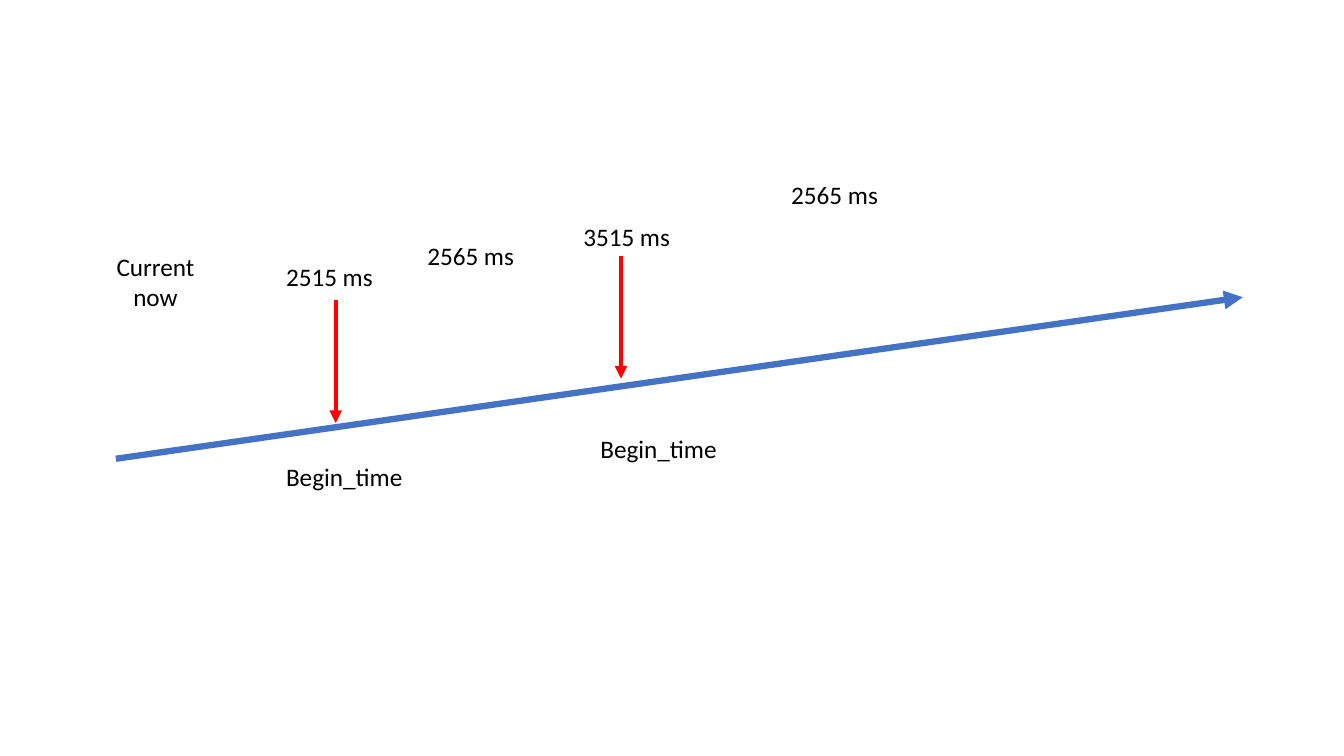
from dataclasses import dataclass

from lxml.etree import SubElement
from pptx import Presentation
from pptx.dml.color import RGBColor
from pptx.enum.shapes import MSO_CONNECTOR
from pptx.enum.text import MSO_AUTO_SIZE, PP_ALIGN
from pptx.oxml.ns import qn
from pptx.util import Cm, Pt


@dataclass(frozen=True)
class Theme:
    """Colours, type and line sizes of the slide."""
    font: str = "Calibri"
    text_size: Pt = Pt(18)
    text: RGBColor = RGBColor(0x00, 0x00, 0x00)
    axis: RGBColor = RGBColor(0x44, 0x72, 0xC4)
    axis_width: Pt = Pt(4.5)
    marker: RGBColor = RGBColor(0xFF, 0x00, 0x00)
    marker_width: Pt = Pt(3)


THEME = Theme()
TIME_WIDTH, NAME_WIDTH = Cm(3.02), Cm(4.11)
LINE_HEIGHT, TWO_LINE_HEIGHT = Cm(1.02), Cm(1.8)
MARKER_LENGTH = Cm(3.09)


def add_arrow(slide, start, end, color, width):
    """Draw a straight line with a triangle at its end."""
    arrow = slide.shapes.add_connector(MSO_CONNECTOR.STRAIGHT, *start, *end)
    arrow.line.color.rgb = color
    arrow.line.width = width
    SubElement(arrow.line._get_or_add_ln(), qn("a:tailEnd"), type="triangle")
    SubElement(arrow._element.spPr, qn("a:effectLst"))


def add_label(slide, lines, left, top, width=TIME_WIDTH, height=LINE_HEIGHT,
              alignment=PP_ALIGN.LEFT):
    """Write one paragraph per line in a text box."""
    frame = slide.shapes.add_textbox(left, top, width, height).text_frame
    frame.word_wrap = True
    frame.auto_size = MSO_AUTO_SIZE.SHAPE_TO_FIT_TEXT
    frame.text = "\n".join(lines)
    for paragraph in frame.paragraphs:
        paragraph.alignment = alignment
        paragraph.font.name = THEME.font
        paragraph.font.size = THEME.text_size
        paragraph.font.color.rgb = THEME.text


def add_event(slide, left, top, time, time_at, name_at):
    """Place a marker arrow at the given point, with its time and name around it."""
    add_arrow(slide, (left, top), (left, top + MARKER_LENGTH),
              THEME.marker, THEME.marker_width)
    add_label(slide, [time], left + time_at[0], top + time_at[1])
    add_label(slide, ["Begin_time"], left + name_at[0], top + name_at[1], NAME_WIDTH)


def add_timeline(slide, left, top, width, height):
    """Draw the rising time axis with its events and durations in a box."""
    add_arrow(slide, (left + Cm(0.51), top + height), (left + width, top + Cm(3.1)),
              THEME.axis, THEME.axis_width)
    add_event(slide, left + Cm(6.05), top + Cm(3.18), "2515 ms",
              (Cm(-1.5), Cm(-1.12)), (Cm(-1.5), Cm(3.94)))
    add_event(slide, left + Cm(13.24), top + Cm(2.06), "3515 ms",
              (Cm(-1.2), Cm(-1.01)), (Cm(-0.77), Cm(4.35)))
    add_label(slide, ["Current", "now"], left, top + Cm(1.81),
              height=TWO_LINE_HEIGHT, alignment=PP_ALIGN.CENTER)
    for x, y in ((8.11, 1.55), (17.28, 0)):
        add_label(slide, ["2565 ms"], left + Cm(x), top + Cm(y))


def main():
    """Build the presentation and save it."""
    presentation = Presentation()
    presentation.slide_width, presentation.slide_height = Cm(33.87), Cm(19.05)
    slide = presentation.slides.add_slide(presentation.slide_layouts[6])
    add_timeline(slide, Cm(2.41), Cm(4.39), Cm(28.91), Cm(7.17))
    presentation.save("out.pptx")


if __name__ == "__main__":
    main()
